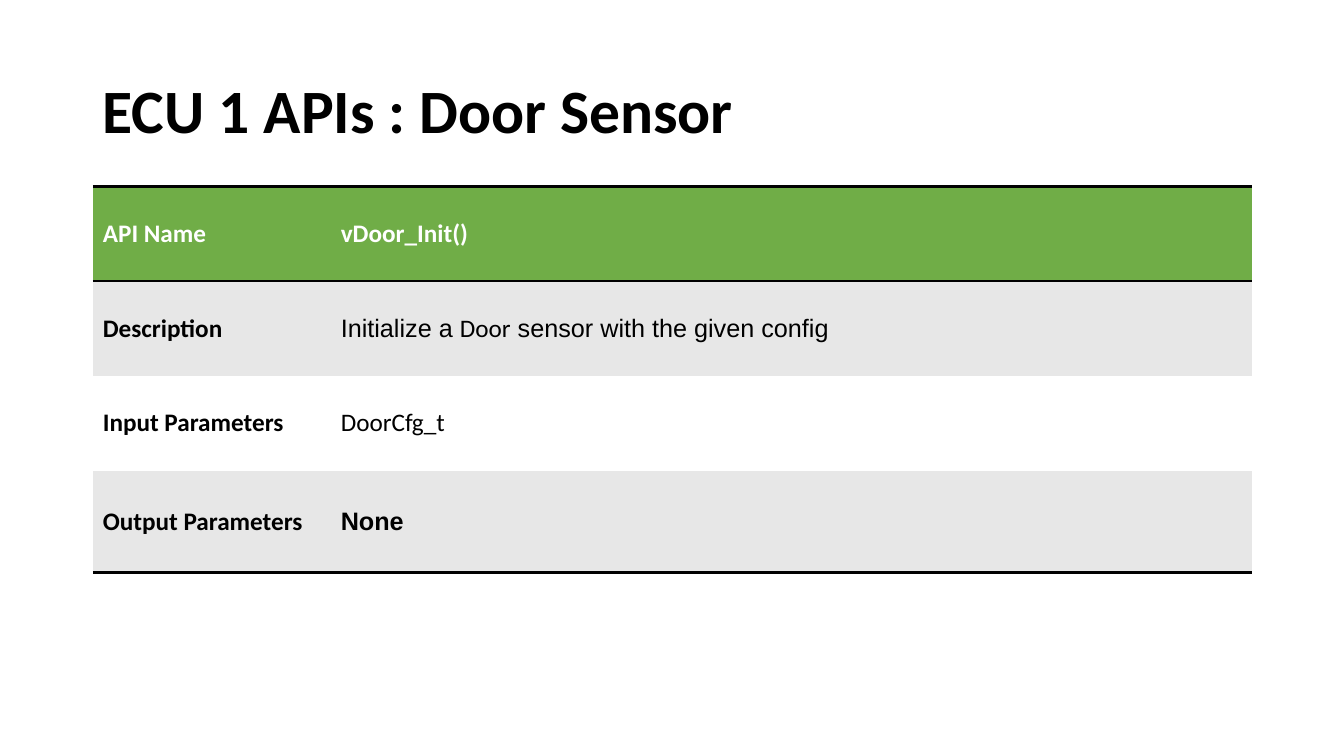
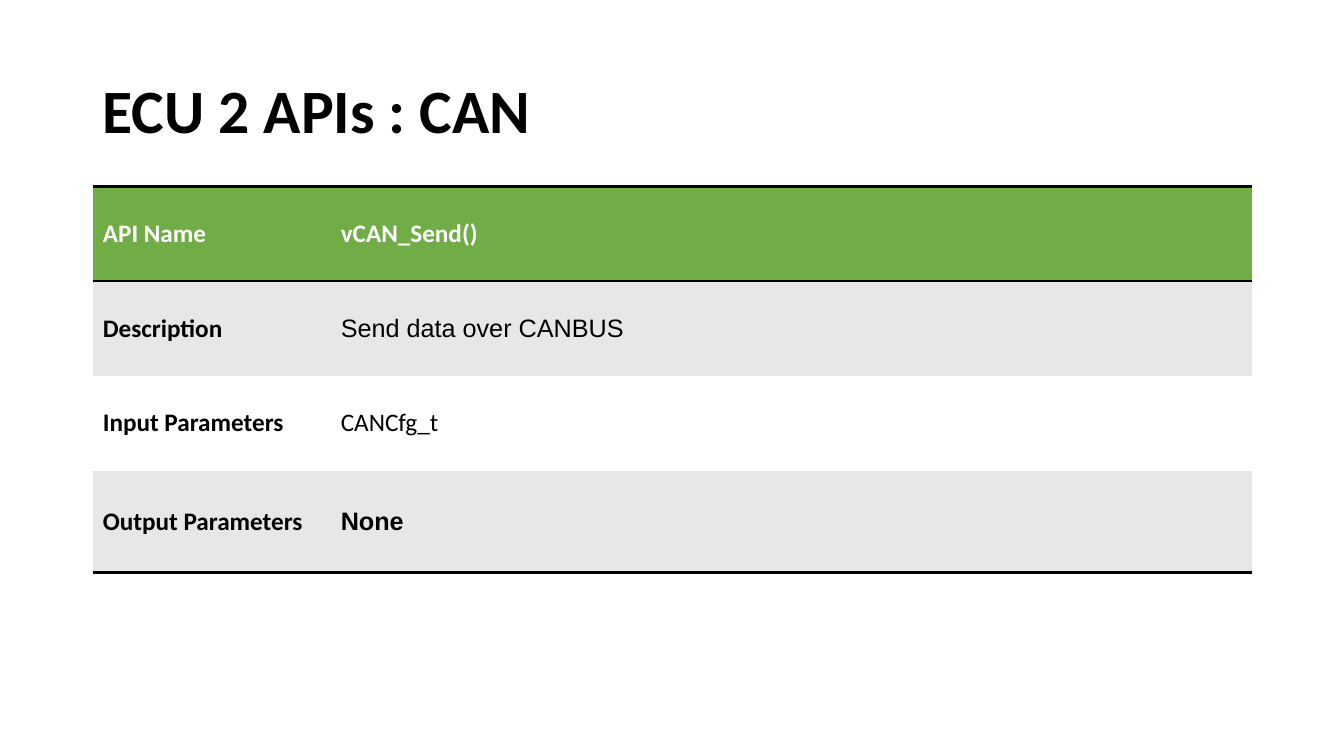
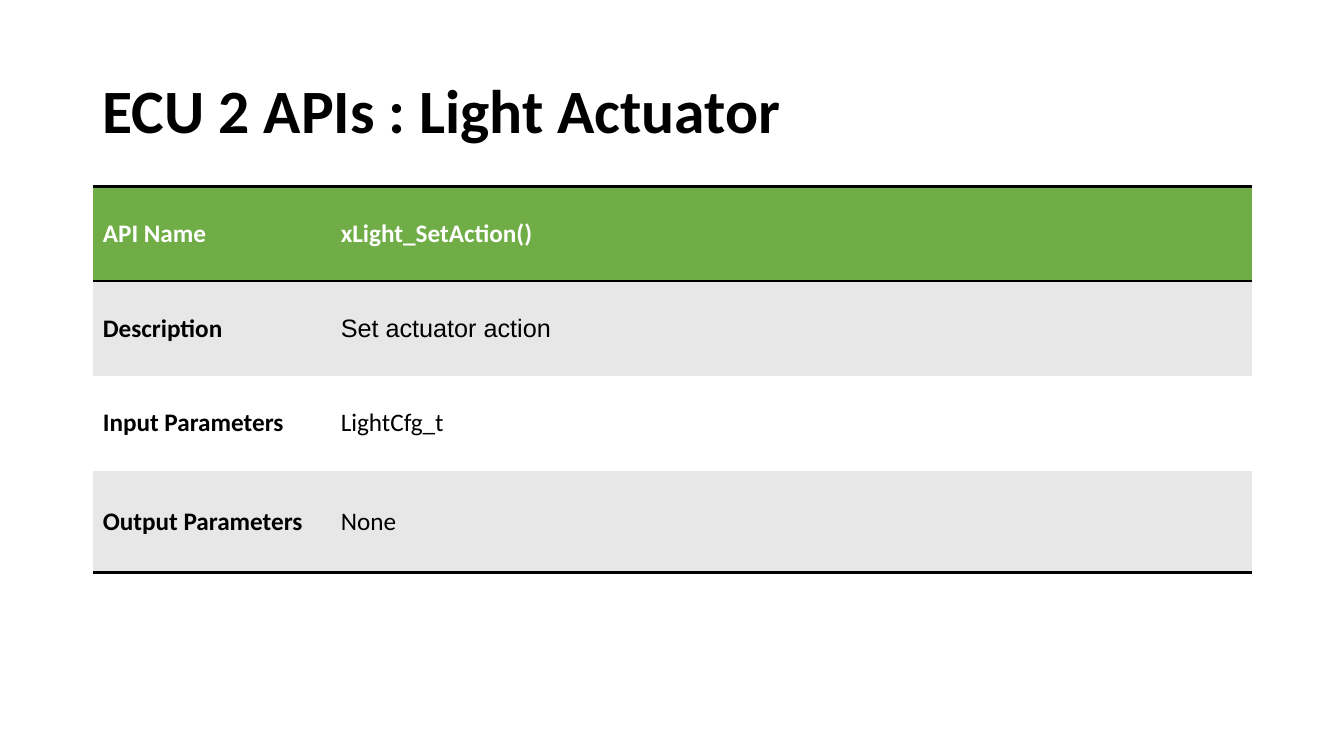
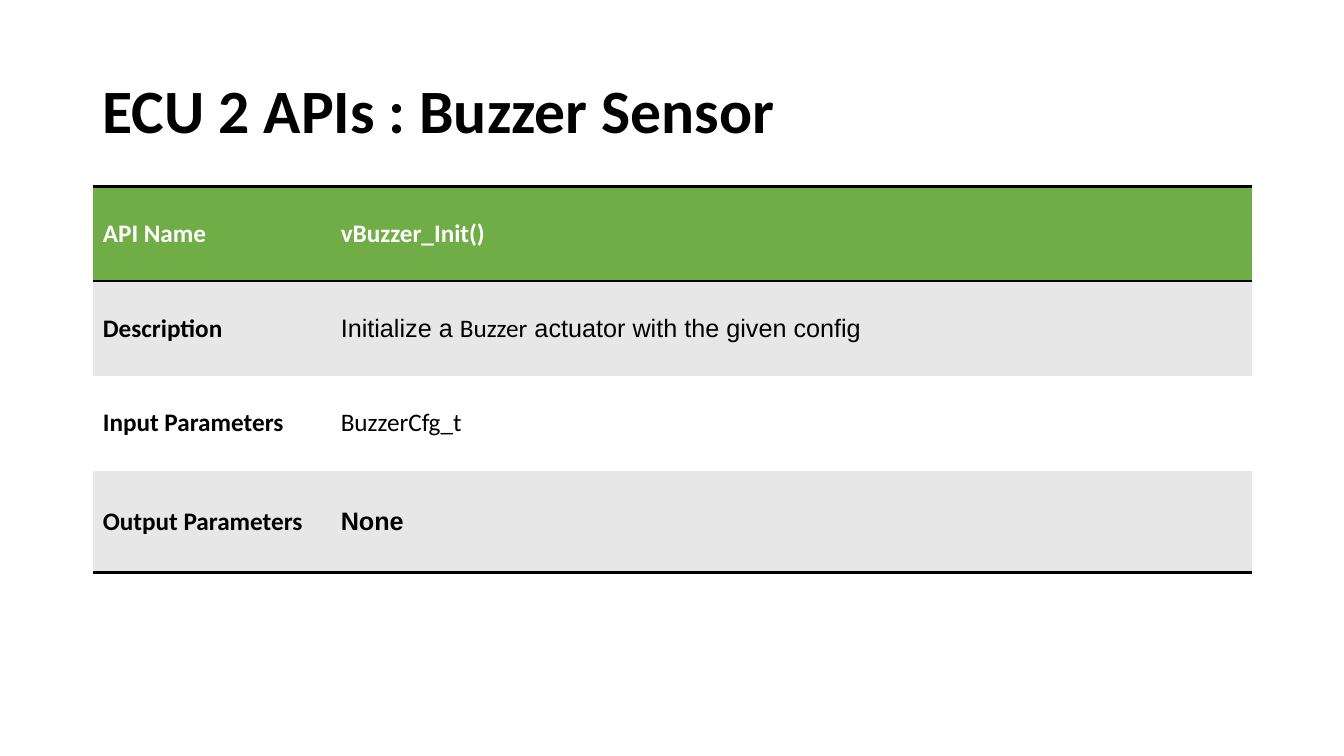
from lxml import etree
from pptx import Presentation
from pptx.dml.color import RGBColor
from pptx.enum.text import MSO_ANCHOR
from pptx.oxml.ns import qn
from pptx.util import Inches, Pt

MIDDLE = MSO_ANCHOR.MIDDLE
BLACK = RGBColor(0x00, 0x00, 0x00)
WHITE = RGBColor(0xFF, 0xFF, 0xFF)
GREEN = RGBColor(0x70, 0xAD, 0x47)
GREY = RGBColor(0xE7, 0xE7, 0xE7)
HEADING_FONT = "Calibri"
BODY_FONT = "Arial"
LEFT, WIDTH = Inches(0.92), Inches(11.5)
COLUMN_WIDTHS = (Inches(2.36), Inches(9.14))
ROW_HEIGHTS = (Inches(0.94), Inches(0.94), Inches(0.94), Inches(1.01))
ROW_FILLS = (GREEN, GREY, WHITE, GREY)
RULED_EDGES = ({"lnT", "lnB"}, {"lnT"}, set(), {"lnB"})
LABELS = ("API Name", "Description", "Input Parameters", "Output Parameters")


class ApiDeck:
    """Builds slides that each describe one API in a titled table."""

    def __init__(self):
        self.presentation = Presentation()
        self.presentation.slide_width = Inches(13.33)
        self.presentation.slide_height = Inches(7.5)
        self.slide = None

    def add_slide(self, title):
        layout = self.presentation.slide_layouts[6]
        self.slide = self.presentation.slides.add_slide(layout)
        self.add_title(title)

    def add_title(self, title):
        box = self.slide.shapes.add_textbox(LEFT, Inches(0.4), WIDTH, Inches(1.45))
        frame = box.text_frame
        frame.word_wrap = True
        frame.vertical_anchor = MIDDLE
        paragraph = frame.paragraphs[0]
        paragraph.line_spacing = 0.9
        self.fill_paragraph(paragraph, [(title, HEADING_FONT)], 44, BLACK, True)

    def fill_paragraph(self, paragraph, parts, size, color, bold):
        paragraph.font.size = Pt(size)
        paragraph.font.color.rgb = color
        paragraph.font.bold = bold
        if len(parts) == 1:
            paragraph.font.name = parts[0][1]
        for text, font_name in parts:
            run = paragraph.add_run()
            run.text = text
            if len(parts) > 1:
                run.font.name = font_name

    def rule_cell(self, cell, ruled_edges):
        properties = cell._tc.get_or_add_tcPr()
        for edge in ("lnL", "lnR", "lnT", "lnB"):
            line = etree.SubElement(properties, qn(f"a:{edge}"))
            if edge in ruled_edges:
                line.set("w", str(Pt(2)))
                fill = etree.SubElement(line, qn("a:solidFill"))
                etree.SubElement(fill, qn("a:srgbClr")).set("val", str(BLACK))
            else:
                etree.SubElement(line, qn("a:noFill"))

    def add_table(self, name, description, input_type, output_font, output_bold):
        values = (
            ([(name, HEADING_FONT)], True),
            (description, False),
            ([(input_type, HEADING_FONT)], False),
            ([("None", output_font)], output_bold),
        )
        table = self.slide.shapes.add_table(
            len(LABELS), len(COLUMN_WIDTHS), LEFT, Inches(1.85), WIDTH, sum(ROW_HEIGHTS)
        ).table
        table.first_row = False
        table.horz_banding = False
        for column, width in zip(table.columns, COLUMN_WIDTHS):
            column.width = width
        for index, row in enumerate(table.rows):
            row.height = ROW_HEIGHTS[index]
            color = WHITE if index == 0 else BLACK
            label = ([(LABELS[index], HEADING_FONT)], True)
            for cell, (parts, bold) in zip(row.cells, (label, values[index])):
                self.rule_cell(cell, RULED_EDGES[index])
                cell.fill.solid()
                cell.fill.fore_color.rgb = ROW_FILLS[index]
                cell.vertical_anchor = MIDDLE
                paragraph = cell.text_frame.paragraphs[0]
                self.fill_paragraph(paragraph, parts, 18, color, bold)


def initialize_text(device, rest):
    return [("Initialize a ", BODY_FONT), (device, HEADING_FONT), (rest, BODY_FONT)]


APIS = (
    ("ECU 1 APIs : Door Sensor", "vDoor_Init()",
     initialize_text("Door", " sensor with the given config"),
     "DoorCfg_t", BODY_FONT, True),
    ("ECU 2 APIs : CAN", "vCAN_Send()",
     [("Send data over CANBUS", BODY_FONT)],
     "CANCfg_t", BODY_FONT, True),
    ("ECU 2 APIs : Light Actuator", "xLight_SetAction()",
     [("Set actuator action", BODY_FONT)],
     "LightCfg_t", HEADING_FONT, False),
    ("ECU 2 APIs : Buzzer Sensor", "vBuzzer_Init()",
     initialize_text("Buzzer", " actuator with the given config"),
     "BuzzerCfg_t", BODY_FONT, True),
)

deck = ApiDeck()
for title, *details in APIS:
    deck.add_slide(title)
    deck.add_table(*details)
deck.presentation.save("out.pptx")
